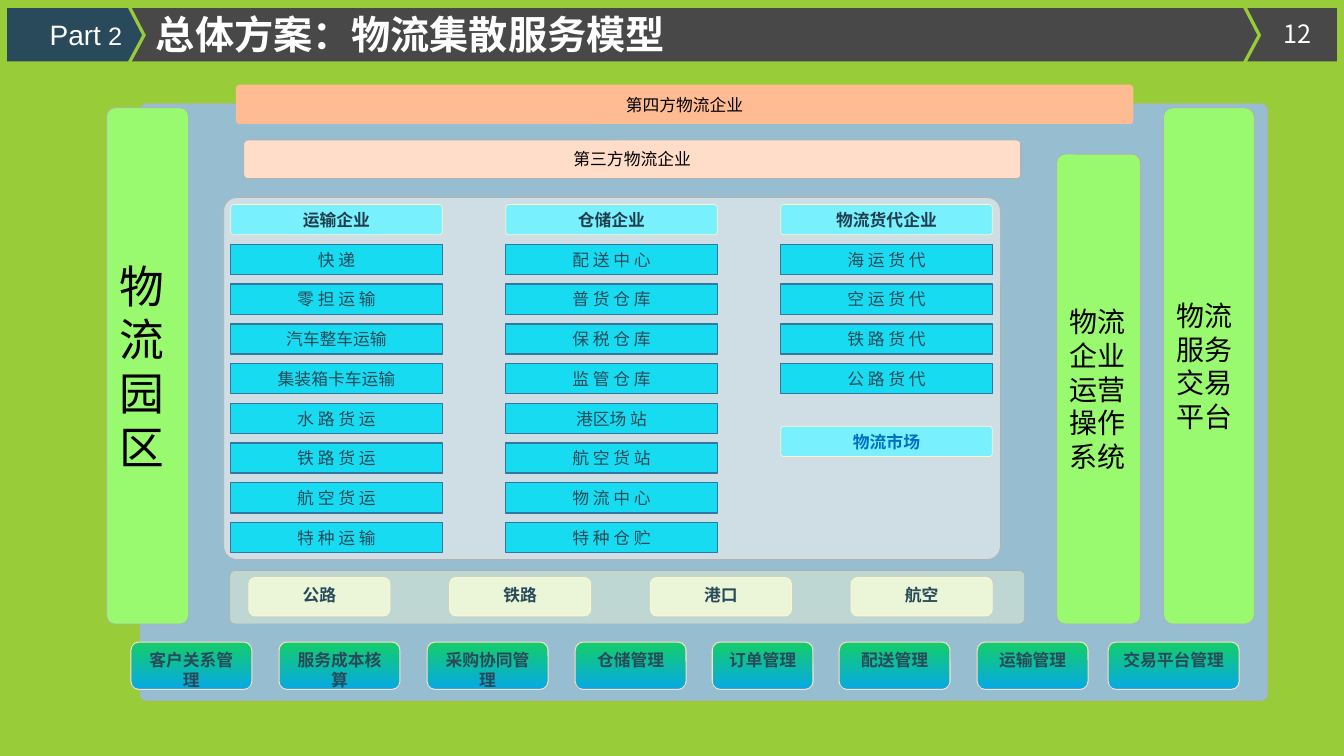
from dataclasses import dataclass
from typing import NamedTuple, Optional

from lxml import etree
from pptx import Presentation
from pptx.dml.color import RGBColor
from pptx.enum.shapes import MSO_SHAPE
from pptx.enum.text import MSO_ANCHOR, PP_ALIGN
from pptx.oxml.ns import qn
from pptx.util import Inches, Pt

RECT, ROUND = MSO_SHAPE.RECTANGLE, MSO_SHAPE.ROUNDED_RECTANGLE
LEFT, MID, RIGHT = PP_ALIGN.LEFT, PP_ALIGN.CENTER, PP_ALIGN.RIGHT
TOP, MIDDLE = MSO_ANCHOR.TOP, MSO_ANCHOR.MIDDLE

WIDE, HIGH = Inches(13.34), Inches(7.5)
COLS, ROWS = 133.4, 75  # square grid cells across and down the slide
HAN, LATIN = "Noto Sans CJK SC", "Arial"

LIME = RGBColor(0x99, 0xCC, 0x39)
NAVY = RGBColor(0x29, 0x4A, 0x5A)
DARK = RGBColor(0x22, 0x3E, 0x4C)
COAL = RGBColor(0x48, 0x48, 0x49)
WHITE = RGBColor(0xFF, 0xFF, 0xFF)
BLACK = RGBColor(0, 0, 0)
GREY = RGBColor(0xB1, 0xB1, 0xB1)
STEEL = RGBColor(0x97, 0xBD, 0xD0)
PEARL = RGBColor(0xF2, 0xF2, 0xF2)
MINT = RGBColor(0x99, 0xF9, 0x6F)
PEACH = RGBColor(0xFF, 0xDD, 0xC8)
CORAL = RGBColor(0xFF, 0xBB, 0x92)
AQUA = RGBColor(0x78, 0xF0, 0xFE)
CYAN = RGBColor(0x17, 0xDC, 0xF1)
CREAM = RGBColor(0xFF, 0xF5, 0xCB)
SAGE = RGBColor(0xEB, 0xF5, 0xD7)
DENIM = RGBColor(0x33, 0x76, 0x9F)
BLUE = RGBColor(0x00, 0x70, 0xC0)
GREEN = RGBColor(0x14, 0xCD, 0x68)
SKY = RGBColor(0x06, 0xA9, 0xE5)


class Spot(NamedTuple):
    """Left, top, width and height in grid cells."""
    col: float
    row: float
    wide: float
    high: float


@dataclass(frozen=True)
class Look:
    fill: RGBColor
    line: Optional[RGBColor] = GREY
    weight: float = 0.5
    form: int = ROUND
    curve: float = 0.1
    alpha: int = 100
    fade: Optional[RGBColor] = None


class Group(NamedTuple):
    head: str
    items: list[str]


class Button(NamedTuple):
    col: float
    wide: float
    text: str


BACK = Look(STEEL, curve=0.01)
PANEL = Look(PEARL, curve=0.036, alpha=62)
STRIP = Look(SAGE, alpha=48)
PILLAR = Look(MINT)
THIRD = Look(PEACH)
FOURTH = Look(CORAL, line=None)
HEAD = Look(AQUA, CREAM)
ITEM = Look(CYAN, DENIM, 1, RECT)
MODE = Look(SAGE, CREAM, 0.75, curve=0.167)
TOOL = Look(GREEN, PEACH, 0.75, curve=0.167, fade=SKY)

BANNER = [
    (NAVY, [(0.7, 0.8), (12.7, 0.8), (14.1, 3.5), (12.7, 6.1), (0.7, 6.1)]),
    (COAL, [(13.1, 0.8), (123.4, 0.8), (124.8, 3.5), (123.4, 6.1), (13.1, 6.1), (14.5, 3.5)]),
    (COAL, [(123.8, 0.8), (132.7, 0.8), (132.7, 6.1), (123.8, 6.1), (125.2, 3.5)]),
]
PILLARS = [
    (Spot(104.9, 15.3, 8.3, 46.6), "物流\n企业\n运营\n操作\n系统", 20),
    (Spot(115.5, 10.7, 9, 51.2), "物流\n服务\n交易\n平台", 20),
    (Spot(10.6, 10.7, 8.1, 51.2), "物\n流\n园\n区", 32),
]
BARS = [
    (Spot(24.2, 13.9, 77.1, 3.8), THIRD, "第三方物流企业"),
    (Spot(23.4, 8.4, 89.1, 3.9), FOURTH, "第四方物流企业"),
]
GROUPS = [
    Group("运输企业", ["快 递", "零 担 运 输", "汽车整车运输", "集装箱卡车运输",
                   "水 路 货 运", "铁 路 货 运", "航 空 货 运", "特 种 运 输"]),
    Group("仓储企业", ["配 送 中 心", "普 货 仓 库", "保 税 仓 库", "监 管 仓 库",
                   "港区场 站", "航 空 货 站", "物 流 中 心", "特 种 仓 贮"]),
    Group("物流货代企业", ["海 运 货 代", "空 运 货 代", "铁 路 货 代", "公 路 货 代"]),
]
MODES = ["公路", "铁路", "港口", "航空"]
TOOLS = [
    Button(13, 12, "客户关系管理"), Button(27.7, 12, "服务成本核算"),
    Button(42.4, 12, "采购协同管理"), Button(57.1, 11, "仓储管理"),
    Button(70.7, 10, "订单管理"), Button(83.3, 11, "配送管理"),
    Button(97, 11, "运输管理"), Button(110, 13, "交易平台管理"),
]


def place(spot: Spot) -> list[int]:
    """Turn grid cells into slide lengths."""
    return [round(WIDE * spot.col / COLS), round(HIGH * spot.row / ROWS),
            round(WIDE * spot.wide / COLS), round(HIGH * spot.high / ROWS)]


def draw(slide, spot: Spot, look: Look):
    shape = slide.shapes.add_shape(look.form, *place(spot))
    shape.shadow.inherit = False
    if look.form == ROUND:
        shape.adjustments[0] = look.curve
    if look.fade:
        shape.fill.gradient()
        shape.fill.gradient_angle = 270
        for stop, tint in zip(shape.fill.gradient_stops, (look.fill, look.fade)):
            stop.color.rgb = tint
    else:
        shape.fill.solid()
        shape.fill.fore_color.rgb = look.fill
    if look.alpha < 100:
        tint = shape._element.spPr.find(qn("a:solidFill"))[0]
        etree.SubElement(tint, qn("a:alpha")).set("val", str(look.alpha * 1000))
    if look.line:
        shape.line.color.rgb = look.line
        shape.line.width = Pt(look.weight)
    else:
        shape.line.fill.background()
    return shape


def write(shape, text: str, *, size: float = 12, color: RGBColor = NAVY,
          bold: bool = False, font: str = HAN, align: int = MID, anchor: int = MIDDLE,
          wrap: bool = False, inset: bool = True, tail: str = "", small: float = 12) -> None:
    """Fill a shape, one paragraph a line; tail follows in the small size."""
    frame = shape.text_frame
    frame.word_wrap = wrap
    frame.vertical_anchor = anchor
    if not inset:
        frame.margin_left = frame.margin_right = frame.margin_top = frame.margin_bottom = 0
    for place_no, line in enumerate(text.split("\n")):
        para = frame.add_paragraph() if place_no else frame.paragraphs[0]
        para.alignment = align
        for part, points in ((line, size), (tail, small)):
            if not part:
                continue
            run = para.add_run()
            run.text = part
            run.font.size, run.font.bold, run.font.name = Pt(points), bold, font
            run.font.color.rgb = color
            east = etree.SubElement(run._r.get_or_add_rPr(), qn("a:ea"))
            east.set("typeface", font)


def banner(slide) -> None:
    for tint, dots in BANNER:
        ends = [tuple(place(Spot(col, row, 0, 0))[:2]) for col, row in dots]
        pen = slide.shapes.build_freeform(*ends[0], scale=1.0)
        pen.add_line_segments(ends[1:], close=True)
        shape = pen.convert_to_shape()
        shape.shadow.inherit = False
        shape.fill.solid()
        shape.fill.fore_color.rgb = tint
        shape.line.fill.background()
    page, title, label = (slide.shapes.add_textbox(*place(spot)) for spot in (
        Spot(126.1, 1.3, 5.4, 4), Spot(14.5, 0.5, 64.7, 5.7), Spot(1.5, 1.2, 11.6, 4.4)))
    write(page, "12", size=18, color=WHITE, anchor=TOP)
    write(title, "总体方案：物流集散服务模型", size=28, color=WHITE, bold=True,
          align=LEFT, anchor=TOP, wrap=True)
    write(label, "Part", size=20, color=WHITE, font=LATIN, align=RIGHT,
          anchor=TOP, wrap=True, tail=" 2", small=18)


def model(slide) -> None:
    draw(slide, Spot(13.9, 10.3, 111.9, 59.2), BACK)
    draw(slide, Spot(22.2, 19.6, 77.1, 35.9), PANEL)
    for spot, text, size in PILLARS:
        write(draw(slide, spot, PILLAR), text, size=size, color=BLACK, align=LEFT)
    for spot, look, text in BARS:
        write(draw(slide, spot, look), text, color=BLACK)
    draw(slide, Spot(22.8, 56.6, 78.9, 5.3), STRIP)
    for rank, group in enumerate(GROUPS):
        col = 22.9 + 27.3 * rank
        write(draw(slide, Spot(col, 20.3, 21, 3), HEAD), group.head, color=DARK, bold=True)
        for step, text in enumerate(group.items):
            cell = draw(slide, Spot(col, 24.25 + 3.94 * step, 21, 3), ITEM)
            write(cell, text, wrap=True, inset=False)
    write(draw(slide, Spot(77.5, 42.3, 21, 3), HEAD), "物流市场", color=BLUE, bold=True)
    for rank, text in enumerate(MODES):
        mode = draw(slide, Spot(24.7 + 19.93 * rank, 57.3, 14, 3.8), MODE)
        write(mode, text, bold=True, anchor=TOP, wrap=True)
    for tool in TOOLS:
        shape = draw(slide, Spot(tool.col, 63.7, tool.wide, 4.7), TOOL)
        write(shape, tool.text, bold=True, anchor=TOP, wrap=True)


def main() -> None:
    deck = Presentation()
    deck.slide_width, deck.slide_height = WIDE, HIGH
    slide = deck.slides.add_slide(deck.slide_layouts[6])
    slide.background.fill.solid()
    slide.background.fill.fore_color.rgb = LIME
    banner(slide)
    model(slide)
    deck.save("out.pptx")


if __name__ == "__main__":
    main()
